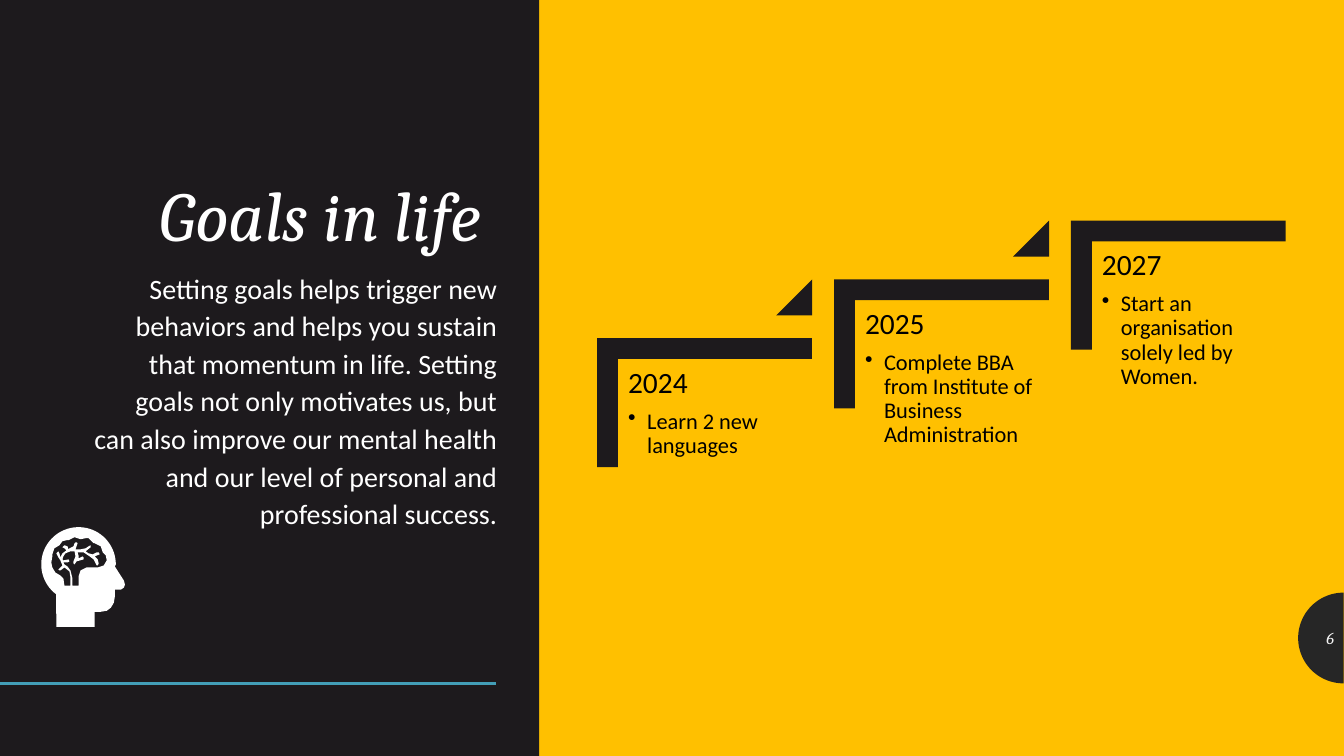
from dataclasses import dataclass
from math import cos, radians, sin

from lxml import etree
from pptx import Presentation
from pptx.dml.color import RGBColor
from pptx.enum.shapes import MSO_CONNECTOR, MSO_SHAPE
from pptx.enum.text import MSO_ANCHOR, MSO_AUTO_SIZE, PP_ALIGN
from pptx.oxml.ns import qn
from pptx.util import Cm, Pt

CORNER, TRIANGLE, RECT = MSO_SHAPE.CORNER, MSO_SHAPE.ISOSCELES_TRIANGLE, MSO_SHAPE.RECTANGLE
STRAIGHT = MSO_CONNECTOR.STRAIGHT
TOP, MIDDLE, BOTTOM = MSO_ANCHOR.TOP, MSO_ANCHOR.MIDDLE, MSO_ANCHOR.BOTTOM
RIGHT, LEFT = PP_ALIGN.RIGHT, PP_ALIGN.LEFT
NO_FIT = MSO_AUTO_SIZE.NONE


@dataclass(frozen=True)
class Theme:
    page: str = "FFC000"
    panel: str = "1D1A1D"
    badge: str = "262626"
    rule: str = "439EB7"
    white: str = "FFFFFF"
    number: str = "F5F5F5"
    ink: str = "000000"
    heading_font: str = "Cambria"
    body_font: str = "Calibri"
    title_size: float = 50
    body_size: float = 20
    year_size: float = 21
    goal_size: float = 16
    number_size: float = 12


@dataclass(frozen=True)
class Box:
    left: float
    top: float
    width: float
    height: float

    def moved(self, dx: float, dy: float) -> "Box":
        return Box(self.left + dx, self.top + dy, self.width, self.height)

    def lengths(self) -> tuple:
        return Cm(self.left), Cm(self.top), Cm(self.width), Cm(self.height)


@dataclass(frozen=True)
class Goal:
    year: str
    text: str


THEME = Theme()
GOALS = (
    Goal("2024", "Learn 2 new languages"),
    Goal("2025", "Complete BBA from Institute of Business Administration"),
    Goal("2027", "Start an organisation solely led by Women."),
)
STEP_X, STEP_Y = 5.97, -1.48
CORNER_BOX = Box(16.13, 7.44, 3.25, 5.41)
GOAL_BOX = Box(15.6, 9.04, 4.88, 4.27)
TRIANGLE_BOX = Box(19.56, 7.04, 0.91, 0.91)
ICON_UNIT = 0.0254
BRAIN = (
    (74, 533), (80, 535), (85, 534), (88, 534), (93, 539), (94, 539), (100, 542),
    (102, 548), (105, 551), (106, 556), (103, 561), (97, 563), (86, 563), (80, 566),
    (78, 572), (78, 581), (72, 581), (72, 574), (70, 566), (67, 562), (64, 560),
    (63, 558), (67, 558), (69, 557), (68, 555), (63, 556), (62, 555), (63, 552),
    (65, 549), (70, 547), (74, 547), (75, 552), (73, 557), (73, 559), (74, 560),
    (76, 557), (83, 555), (83, 553), (82, 552), (78, 554), (78, 551), (77, 548),
    (83, 548), (89, 552), (93, 555), (95, 559), (96, 561), (97, 561), (98, 559),
    (97, 555), (94, 552), (99, 550), (98, 548), (96, 548), (92, 550), (88, 549),
    (85, 547), (90, 543), (90, 541), (88, 542), (85, 544), (80, 545), (75, 545),
    (77, 539), (76, 538), (75, 538), (74, 539), (73, 542), (69, 544), (68, 545),
    (67, 542), (64, 541), (62, 543), (64, 544), (66, 546), (62, 549), (60, 553),
    (59, 549), (58, 547), (57, 548), (56, 549), (58, 553), (60, 556), (62, 561),
    (59, 564), (58, 565), (59, 566), (60, 566), (64, 563), (69, 567), (70, 573),
    (70, 581), (64, 581), (63, 574), (60, 571), (55, 568), (52, 563), (51, 558),
    (52, 552), (52, 550), (54, 544), (59, 541), (62, 537), (66, 536), (68, 536),
)
FACE = (
    (114, 562), (123, 576), (124, 580), (123, 583), (120, 585), (114, 585), (114, 592),
    (113, 598), (110, 603), (106, 606), (100, 607), (94, 607), (94, 622), (56, 622),
)


def rgb(color: str) -> RGBColor:
    return RGBColor.from_string(color)


def arc(cx: float, cy: float, radius: float, start: int, end: int) -> list:
    angles = [radians(start + (end - start) * i / 48) for i in range(49)]
    return [(cx + radius * cos(a), cy + radius * sin(a)) for a in angles]


def paint(sp, color: str) -> None:
    sp.shadow.inherit = False
    sp.fill.solid()
    sp.fill.fore_color.rgb = rgb(color)
    sp.line.fill.background()


def add_shape(s, kind, box: Box, adjustments: tuple = ()):
    sp = s.shapes.add_shape(kind, *box.lengths())
    for i, value in enumerate(adjustments):
        sp.adjustments[i] = value
    paint(sp, THEME.panel)
    return sp


def add_outline(s, contours: list, color: str) -> None:
    scaled = [[(Cm(x * ICON_UNIT), Cm(y * ICON_UNIT)) for x, y in c] for c in contours]
    builder = s.shapes.build_freeform(*scaled[0][0])
    for i, points in enumerate(scaled):
        if i:
            builder.move_to(*points[0])
        builder.add_line_segments(points[1:], close=True)
    paint(builder.convert_to_shape(), color)


def set_frame(tf, anchor=TOP, right: float = 0.25) -> None:
    tf.word_wrap = True
    tf.auto_size = NO_FIT
    tf.vertical_anchor = anchor
    tf.margin_left, tf.margin_right = Cm(0.25), Cm(right)
    tf.margin_top = tf.margin_bottom = Cm(0.13)


def format_text(p, size: float, color: str, font: str, align=LEFT, spacing: float = 1.0,
                before: float = 0, after: float = 0, italic: bool = False) -> None:
    p.alignment, p.line_spacing = align, spacing
    p.space_before, p.space_after = Pt(before), Pt(after)
    for r in p.runs:
        r.font.size, r.font.name, r.font.italic = Pt(size), font, italic
        r.font.color.rgb = rgb(color)


def set_bullet(p, indent: float = 0, char: str = "") -> None:
    props = p._p.get_or_add_pPr()
    props.set("marL", str(Cm(indent)))
    props.set("indent", str(-Cm(indent)))
    bullet = etree.SubElement(props, qn("a:buChar" if char else "a:buNone"))
    if char:
        bullet.set("char", char)


def fill_placeholder(sp, box: Box, text: str, anchor=TOP, right: float = 0.25):
    sp.left, sp.top, sp.width, sp.height = box.lengths()
    sp.text_frame.text = text
    set_frame(sp.text_frame, anchor, right)
    return sp.text_frame.paragraphs[0]


def add_goal(s, goal: Goal, dx: float, dy: float) -> None:
    corner = add_shape(s, CORNER, CORNER_BOX.moved(dx, dy), (0.161, 0.161))
    corner.rotation = 90
    tf = s.shapes.add_textbox(*GOAL_BOX.moved(dx, dy).lengths()).text_frame
    set_frame(tf)
    tf.margin_left = tf.margin_right = tf.margin_top = tf.margin_bottom = Cm(0.23)
    tf.text = goal.year
    format_text(tf.paragraphs[0], THEME.year_size, THEME.ink, THEME.body_font,
                spacing=0.9, after=7.35)
    p = tf.add_paragraph()
    p.text, p.level = goal.text, 1
    format_text(p, THEME.goal_size, THEME.ink, THEME.body_font, spacing=0.9, after=2.4)
    set_bullet(p, 0.48, "•")


def main() -> None:
    prs = Presentation()
    prs.slide_width, prs.slide_height = Cm(33.87), Cm(19.05)
    s = prs.slides.add_slide(prs.slide_layouts[1])
    s.background.fill.solid()
    s.background.fill.fore_color.rgb = rgb(THEME.page)

    panel = add_shape(s, RECT, Box(0, 0, 13.59, 19.05))
    title = s.shapes.title
    title.element.addprevious(panel.element)
    p = fill_placeholder(title, Box(2.59, 1.52, 10.19, 5.08), "Goals in life", BOTTOM, 0.65)
    format_text(p, THEME.title_size, THEME.white, THEME.heading_font, RIGHT, 0.9, italic=True)
    p = fill_placeholder(
        s.placeholders[1], Box(2.11, 6.6, 10.67, 7.92),
        "Setting goals helps trigger new behaviors and helps you sustain that momentum in life. "
        "Setting goals not only motivates us, but can also improve our mental health and our "
        "level of personal and professional success.")
    format_text(p, THEME.body_size, THEME.white, THEME.body_font, RIGHT, 1.12, before=9)
    set_bullet(p)

    rule = s.shapes.add_connector(STRAIGHT, Cm(0), Cm(17.22), Cm(12.5), Cm(17.22))
    rule.line.color.rgb, rule.line.width = rgb(THEME.rule), Pt(2)
    etree.SubElement(rule.element.spPr, qn("a:effectLst"))

    for i, goal in enumerate(GOALS):
        add_goal(s, goal, i * STEP_X, i * STEP_Y)
        if i < len(GOALS) - 1:
            add_shape(s, TRIANGLE, TRIANGLE_BOX.moved(i * STEP_X, i * STEP_Y), (1.0,))

    add_outline(s, [arc(1333, 633, 45, 90, 270)], THEME.badge)
    tf = s.shapes.add_textbox(*Box(32.74, 15.57, 1.13, 1.02).lengths()).text_frame
    tf.text = "6"
    set_frame(tf, MIDDLE)
    format_text(tf.paragraphs[0], THEME.number_size, THEME.number, THEME.heading_font,
                RIGHT, italic=True)
    add_outline(s, [arc(78, 560, 37, 127, 360) + list(FACE), BRAIN], THEME.white)
    prs.save("out.pptx")


if __name__ == "__main__":
    main()
